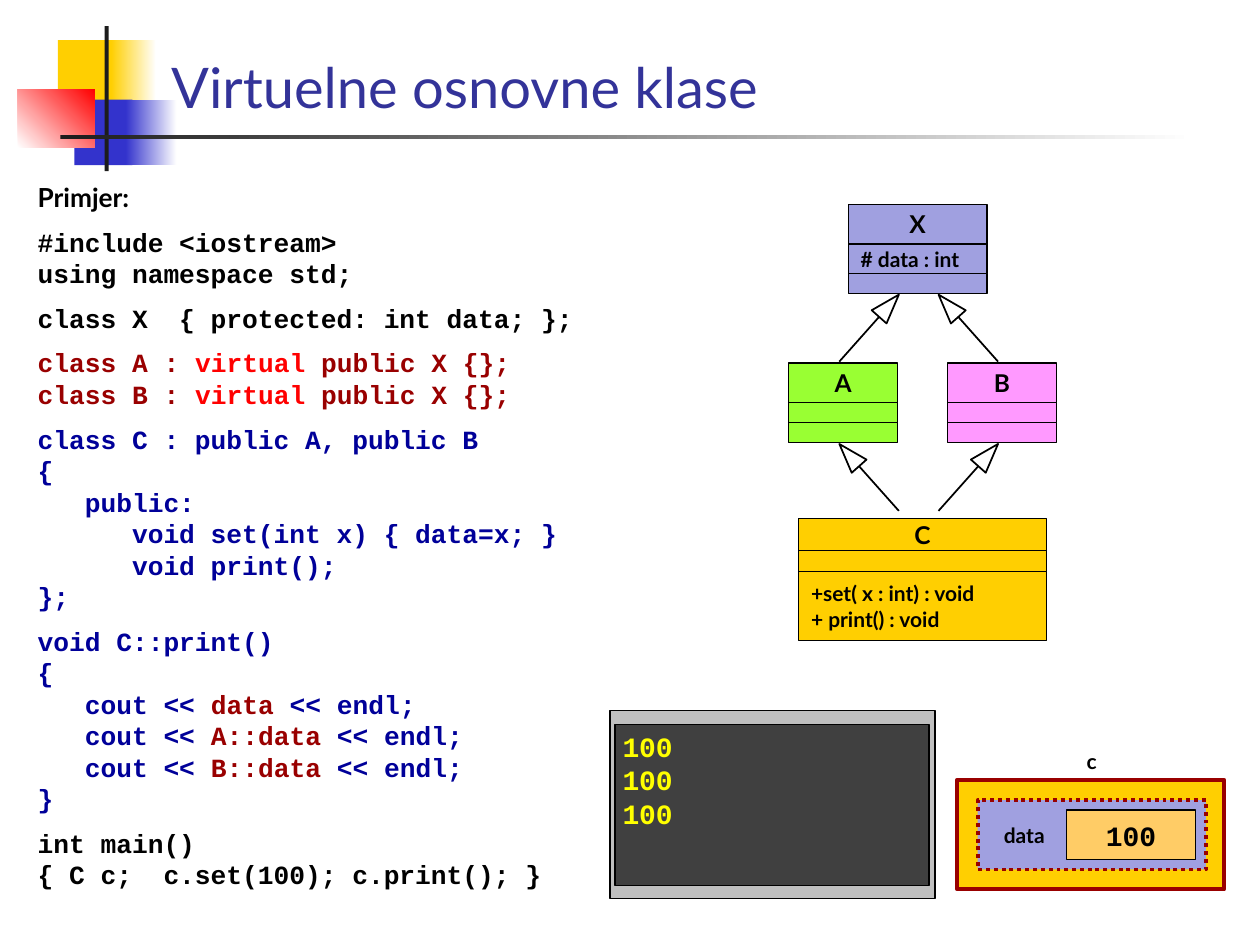
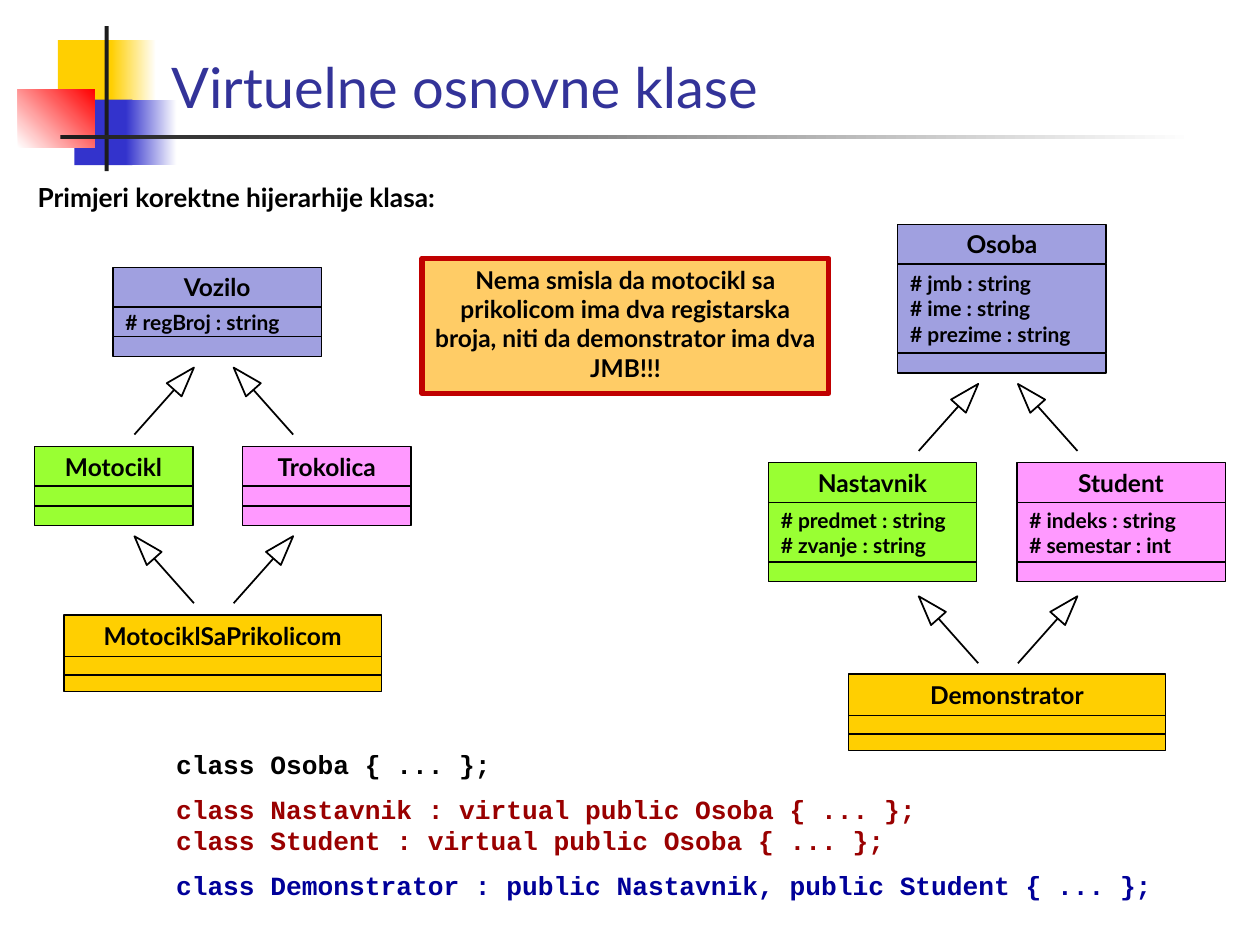
from dataclasses import dataclass
from math import atan2, degrees, hypot

from lxml.etree import SubElement
from pptx import Presentation
from pptx.dml.color import RGBColor
from pptx.enum.dml import MSO_LINE
from pptx.enum.shapes import MSO_CONNECTOR, MSO_SHAPE
from pptx.enum.text import MSO_ANCHOR, PP_ALIGN
from pptx.oxml.ns import qn
from pptx.util import Cm, Pt


@dataclass(frozen=True)
class Theme:
    black: str = "000000"
    white: str = "FFFFFF"
    ink: str = "1C1C1C"
    title: str = "333399"
    gold: str = "FFCF01"
    blue: str = "3333CC"
    red: str = "FF0000"
    lilac: str = "A0A0E0"
    green: str = "99FF33"
    pink: str = "FF99FF"
    peach: str = "FFCC66"
    maroon: str = "990000"
    navy: str = "000099"
    alarm: str = "C00000"
    frame: str = "BFBFBF"
    screen: str = "404040"
    output: str = "FFFF00"
    sans: str = "Lato"
    mono: str = "Courier New"
    title_size: float = 32
    console_size: float = 16
    code_size: float = 15
    name_size: float = 14
    member_size: float = 12


T = Theme()


def box(slide, at, fill, line=None, width=0.75, shape=MSO_SHAPE.RECTANGLE):
    """Add a shape; a (start, end, angle) fill is a gradient, None is no fill."""
    item = slide.shapes.add_shape(shape, *map(Cm, at))
    item.shadow.inherit = False
    if isinstance(fill, tuple):
        item.fill.gradient()
        item.fill.gradient_angle = fill[2]
        for stop, color in zip(item.fill.gradient_stops, fill):
            stop.color.rgb = RGBColor.from_string(color)
    elif fill:
        item.fill.solid()
        item.fill.fore_color.rgb = RGBColor.from_string(fill)
    else:
        item.fill.background()
    if line:
        item.line.color.rgb = RGBColor.from_string(line)
        item.line.width = Pt(width)
    else:
        item.line.fill.background()
    return item


def write(item, blocks, size, font=T.sans, align=PP_ALIGN.LEFT,
          anchor=MSO_ANCHOR.MIDDLE, bold=True):
    """Fill with (color, lines, accent) blocks; |marked| words take the accent."""
    frame = item.text_frame
    frame.word_wrap = True
    frame.vertical_anchor = anchor
    if anchor == MSO_ANCHOR.MIDDLE:
        frame.margin_top = frame.margin_bottom = 0
    paragraph = None
    for number, (color, lines, *accent) in enumerate(blocks):
        for row, line in enumerate(lines):
            paragraph = frame.add_paragraph() if paragraph else frame.paragraphs[0]
            paragraph.alignment = align
            paragraph.font.name = font
            paragraph.font.size = Pt(size)
            paragraph.font.bold = bold
            paragraph.font.color.rgb = RGBColor.from_string(color)
            if font == T.mono:
                paragraph.line_spacing = Pt(1.2 * size)
            if number and not row:
                paragraph.space_before = Pt(size / 2)
            for part, text in enumerate(line.split("|")):
                run = paragraph.add_run()
                run.text = text
                if part % 2:
                    run.font.color.rgb = RGBColor.from_string(accent[0])


deck = Presentation()
deck.slide_width, deck.slide_height = Cm(25.4), Cm(19.05)
blank = deck.slide_layouts[6]

# Shared decoration and title
ornaments = [
    ((1.17, 0.81, 1.22, 1.32), T.gold),
    ((2.24, 0.81, 0.91, 1.32), (T.gold, T.white, 0)),
    ((1.5, 2.01, 1.17, 1.32), T.blue),
    ((2.54, 2.01, 1.02, 1.32), (T.blue, T.white, 0)),
    ((0.36, 1.8, 1.55, 1.17), (T.white, T.red, 45)),
    ((2.11, 0.53, 0.08, 2.92), T.ink),
    ((1.22, 2.72, 22.86, 0.08), (T.ink, T.white, 0)),
]
slides = []
for _ in range(2):
    slide = deck.slides.add_slide(blank)
    for at, fill in ornaments:
        box(slide, at, fill)
    title = slide.shapes.add_textbox(Cm(3.2), Cm(0.33), Cm(22.2), Cm(2.21))
    write(title, [(T.title, ["Virtuelne osnovne klase"])], T.title_size,
          anchor=MSO_ANCHOR.BOTTOM, bold=False)
    slides.append(slide)
example, hierarchies = slides

# Headings and code listings
program = [
    (T.black, ["#include <iostream>", "using namespace std;"]),
    (T.black, ["class X  { protected: int data; };"]),
    (T.maroon, ["class A : |virtual| public X {};",
                "class B : |virtual| public X {};"], T.red),
    (T.navy, ["class C : public A, public B",
              "{",
              "   public:",
              "      void set(int x) { data=x; }",
              "      void print();",
              "};"]),
    (T.navy, ["void C::print()",
              "{",
              "   cout << |data| << endl;",
              "   cout << |A::data| << endl;",
              "   cout << |B::data| << endl;",
              "}"], T.maroon),
    (T.black, ["int main()", "{ C c;  c.set(100); c.print(); }"]),
]
declarations = [
    (T.black, ["class Osoba { ... };"]),
    (T.maroon, ["class Nastavnik : virtual public Osoba { ... };",
                "class Student : virtual public Osoba { ... };"]),
    (T.navy, ["class Demonstrator : public Nastavnik, public Student { ... };"]),
]
for slide, at, blocks, font in [
    (example, (0.51, 3.53, 13.8, 1), [(T.black, ["Primjer:"])], T.sans),
    (example, (0.51, 4.43, 13.8, 14), program, T.mono),
    (hierarchies, (0.51, 3.53, 13.8, 1),
     [(T.black, ["Primjeri korektne hijerarhije klasa:"])], T.sans),
    (hierarchies, (3.3, 14.96, 21, 3.8), declarations, T.mono),
]:
    listing = slide.shapes.add_textbox(*map(Cm, at))
    write(listing, blocks, T.code_size, font, anchor=MSO_ANCHOR.TOP)

# Class boxes: slide, left, top, width, colour, name, attributes, methods, row heights
plain = (0.8, 0.4, 0.4)
one_member = (0.8, 0.6, 0.4)
two_members = (0.8, 1.2, 0.4)
three_members = (0.8, 1.8, 0.4)
derived = (0.84, 0.37, 0.33)
classes = [
    (example, 17.1, 4.12, 2.8, T.lilac, "X", ["# data : int"], [], one_member),
    (example, 15.9, 7.32, 2.2, T.green, "A", [], [], plain),
    (example, 19.1, 7.32, 2.2, T.pink, "B", [], [], plain),
    (example, 16.1, 10.46, 5, T.gold, "C", [],
     ["+set( x : int) : void", "+ print() : void"], (0.64, 0.42, 1.4)),
    (hierarchies, 2.28, 5.39, 4.2, T.lilac, "Vozilo",
     ["# regBroj : string"], [], one_member),
    (hierarchies, 0.69, 9, 3.2, T.green, "Motocikl", [], [], plain),
    (hierarchies, 4.89, 9, 3.4, T.pink, "Trokolica", [], [], plain),
    (hierarchies, 1.29, 12.4, 6.4, T.gold, "MotociklSaPrikolicom", [], [], derived),
    (hierarchies, 18.1, 4.52, 4.2, T.lilac, "Osoba",
     ["# jmb : string", "# ime : string", "# prezime : string"], [], three_members),
    (hierarchies, 15.49, 9.33, 4.2, T.green, "Nastavnik",
     ["# predmet : string", "# zvanje : string"], [], two_members),
    (hierarchies, 20.5, 9.33, 4.2, T.pink, "Student",
     ["# indeks : string", "# semestar : int"], [], two_members),
    (hierarchies, 17.1, 13.59, 6.4, T.gold, "Demonstrator", [], [], derived),
]
for slide, left, top, width, color, name, attributes, methods, heights in classes:
    for lines, height in zip(([name], attributes, methods), heights):
        compartment = box(slide, (left, top, width, height), color, T.black)
        if lines == [name]:
            write(compartment, [(T.black, lines)], T.name_size, align=PP_ALIGN.CENTER)
        elif lines:
            write(compartment, [(T.black, lines)], T.member_size)
        top += height

# Inheritance arrows: two pairs per diagram, mirrored about its centre
near, far, rise = 0.4, 1.6, 1.35
head_width, head_length = 0.4, 0.6
for slide, centre, upper, lower in [
    (example, 18.52, 5.94, 8.95),
    (hierarchies, 4.31, 7.41, 10.81),
    (hierarchies, 20.12, 7.74, 12.02),
]:
    for tip_y, tip_offset, tail_offset in [(upper, near, far), (lower, far, near)]:
        for side in (-1, 1):
            tip_x, tail_x = centre + side * tip_offset, centre + side * tail_offset
            run = tail_x - tip_x
            length = hypot(run, rise)
            step_x, step_y = run / length * head_length, rise / length * head_length
            head = box(slide, (tip_x + step_x / 2 - head_width / 2,
                               tip_y + step_y / 2 - head_length / 2,
                               head_width, head_length),
                       None, T.black, 1, MSO_SHAPE.ISOSCELES_TRIANGLE)
            head.rotation = degrees(atan2(-run, rise))
            stem = slide.shapes.add_connector(
                MSO_CONNECTOR.STRAIGHT, Cm(tip_x + step_x), Cm(tip_y + step_y),
                Cm(tail_x), Cm(tip_y + rise))
            stem.line.color.rgb = RGBColor.from_string(T.black)
            stem.line.width = Pt(1)
            SubElement(stem._element.spPr, qn("a:effectLst"))

# Console output
box(example, (12.3, 14.33, 6.55, 3.78), T.frame, T.black, 0)
box(example, (12.4, 14.6, 6.33, 3.25), T.screen, T.black, 0)
console = example.shapes.add_textbox(Cm(12.55), Cm(14.58), Cm(5.56), Cm(2.29))
console.text_frame.margin_left = console.text_frame.margin_right = 0
write(console, [(T.output, ["100"] * 3)], T.console_size, T.mono,
      anchor=MSO_ANCHOR.TOP)

# Object c in memory
box(example, (19.3, 15.72, 5.38, 2.21), T.gold, T.maroon, 2.25)
shared_base = box(example, (19.71, 16.13, 4.6, 1.4), T.lilac, T.maroon, 2.25)
shared_base.line.dash_style = MSO_LINE.ROUND_DOT
value = box(example, (21.5, 16.33, 2.6, 1), T.peach, T.black)
write(value, [(T.black, ["100"])], T.console_size, T.mono, PP_ALIGN.CENTER)
for at, label, align in [
    ((21.51, 14.94, 1, 0.79), "c", PP_ALIGN.CENTER),
    ((19.6, 16.54, 1.71, 0.58), "data", PP_ALIGN.RIGHT),
]:
    caption = example.shapes.add_textbox(*map(Cm, at))
    write(caption, [(T.black, [label])], T.member_size, align=align)

# Remark on duplicated members
remark = box(hierarchies, (8.51, 5.21, 8.2, 2.72), T.peach, T.alarm, 3)
write(remark, [(T.black, ["Nema smisla da motocikl sa prikolicom ima dva registarska "
                          "broja, niti da demonstrator ima dva JMB!!!"])],
      T.name_size, align=PP_ALIGN.CENTER, anchor=MSO_ANCHOR.TOP)

deck.save("out.pptx")
